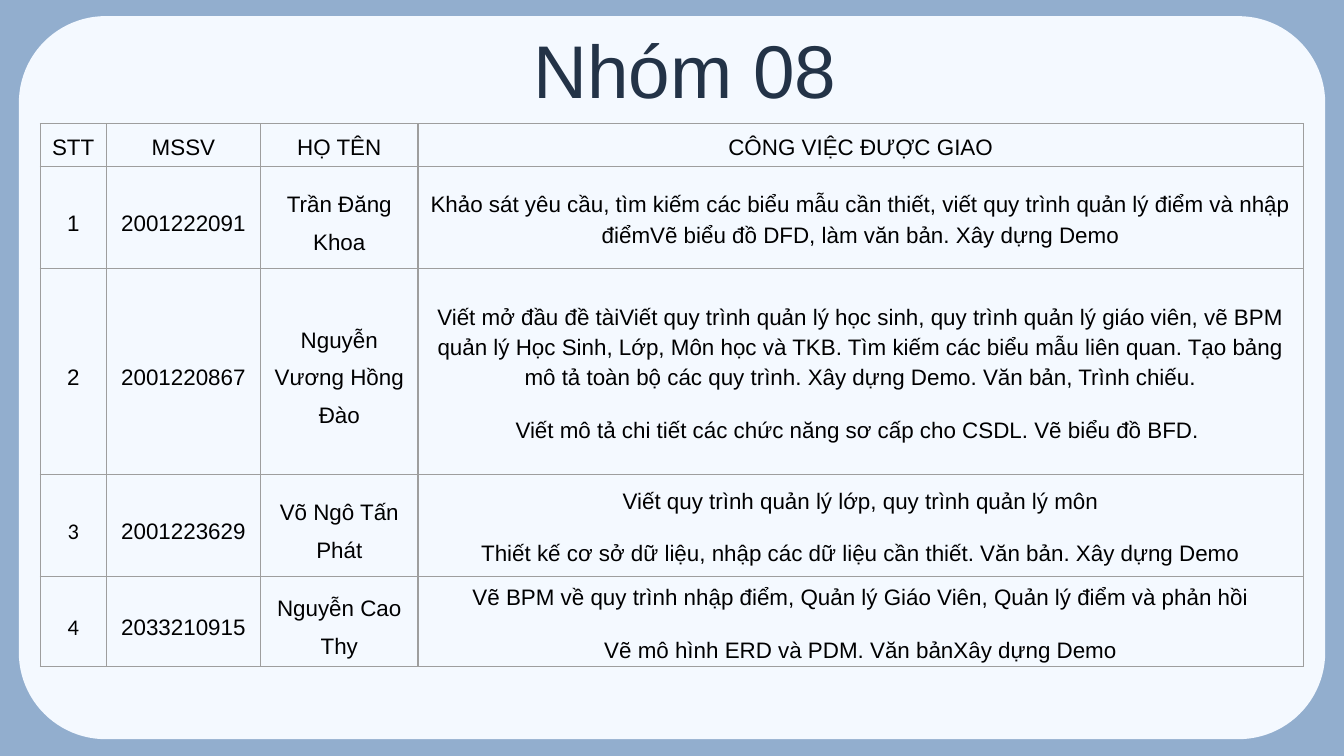
import pptx
import pptx.util
import pptx.dml.color
import pptx.enum.shapes
import pptx.enum.text
import pptx.oxml.ns
import lxml.etree

Inches = pptx.util.Inches
Pt = pptx.util.Pt
RGBColor = pptx.dml.color.RGBColor
CENTER = pptx.enum.text.PP_ALIGN.CENTER
MIDDLE = pptx.enum.text.MSO_ANCHOR.MIDDLE

BLUE = RGBColor(0x92, 0xAE, 0xCE)
PALE = RGBColor(0xF4, 0xF9, 0xFF)
NAVY = RGBColor(0x23, 0x33, 0x47)
BLACK = RGBColor(0, 0, 0)
GREY = RGBColor(0x9E, 0x9E, 0x9E)

COLUMN_WIDTHS = [0.49, 1.15, 1.17, 6.59]
ROW_HEIGHTS = [0.32, 0.76, 1.53, 0.76, 0.67]

# A line break separates the paragraphs of a cell
ROWS = [
    ["STT", "MSSV", "HỌ TÊN", "CÔNG VIỆC ĐƯỢC GIAO"],
    ["1", "2001222091", "Trần Đăng Khoa",
     "Khảo sát yêu cầu, tìm kiếm các biểu mẫu cần thiết, viết quy trình quản lý "
     "điểm và nhập điểmVẽ biểu đồ DFD, làm văn bản. Xây dựng Demo"],
    ["2", "2001220867", "Nguyễn Vương Hồng Đào",
     "Viết mở đầu đề tàiViết quy trình quản lý học sinh, quy trình quản lý giáo viên, "
     "vẽ BPM quản lý Học Sinh, Lớp, Môn học và TKB. Tìm kiếm các biểu mẫu liên quan. "
     "Tạo bảng mô tả toàn bộ các quy trình. Xây dựng Demo. Văn bản, Trình chiếu.\n"
     "Viết mô tả chi tiết các chức năng sơ cấp cho CSDL. Vẽ biểu đồ BFD. "],
    ["3", "2001223629", "Võ Ngô Tấn Phát",
     "Viết quy trình quản lý lớp, quy trình quản lý môn\n"
     "Thiết kế cơ sở dữ liệu, nhập các dữ liệu cần thiết. Văn bản. Xây dựng Demo"],
    ["4", "2033210915", "Nguyễn Cao Thy",
     "Vẽ BPM về quy trình nhập điểm, Quản lý Giáo Viên, Quản lý điểm và phản hồi\n"
     "Vẽ mô hình ERD và PDM. Văn bảnXây dựng Demo"],
]


def add_borders(cell):
    properties = cell._tc.get_or_add_tcPr()
    for side in ("a:lnL", "a:lnR", "a:lnT", "a:lnB"):
        line = lxml.etree.SubElement(properties, pptx.oxml.ns.qn(side), w=str(Pt(0.75)))
        fill = lxml.etree.SubElement(line, pptx.oxml.ns.qn("a:solidFill"))
        lxml.etree.SubElement(fill, pptx.oxml.ns.qn("a:srgbClr"), val=str(GREY))


def style_paragraph(paragraph, size, color, font_name="Arial"):
    paragraph.alignment = CENTER
    paragraph.font.size = Pt(size)
    paragraph.font.name = font_name
    paragraph.font.color.rgb = color


# Widescreen page, 16 to 9
deck = pptx.Presentation()
deck.slide_width = Inches(10)
deck.slide_height = Inches(10 * 9 / 16)
page = deck.slides.add_slide(deck.slide_layouts[6])

# Background and rounded panel
page.background.fill.solid()
page.background.fill.fore_color.rgb = BLUE
panel = page.shapes.add_shape(
    pptx.enum.shapes.MSO_SHAPE.ROUNDED_RECTANGLE,
    Inches(0.14), Inches(0.12), Inches(9.72), Inches(5.38))
panel.adjustments[0] = 0.12
panel.shadow.inherit = False
panel.fill.solid()
panel.fill.fore_color.rgb = PALE
panel.line.fill.background()

# Title
title = page.shapes.add_textbox(Inches(3.07), 0, Inches(4.05), Inches(1.02))
frame = title.text_frame
frame.word_wrap = True
frame.vertical_anchor = MIDDLE
frame.margin_left = frame.margin_right = Inches(0.1)
frame.margin_top = frame.margin_bottom = Inches(0.1)
frame.text = "Nhóm 08"
style_paragraph(frame.paragraphs[0], 40, NAVY)

# Task table
table = page.shapes.add_table(
    len(ROWS), len(COLUMN_WIDTHS), Inches(0.3), Inches(0.92),
    Inches(sum(COLUMN_WIDTHS)), Inches(sum(ROW_HEIGHTS))).table
table.first_row = False
table.horz_banding = False
for column, width in zip(table.columns, COLUMN_WIDTHS):
    column.width = Inches(width)
for row, height in zip(table.rows, ROW_HEIGHTS):
    row.height = Inches(height)

for row_index, texts in enumerate(ROWS):
    for column_index, text in enumerate(texts):
        cell = table.cell(row_index, column_index)
        cell.text = text
        cell.vertical_anchor = MIDDLE
        cell.margin_left = cell.margin_right = Inches(0.05)
        cell.margin_top = cell.margin_bottom = 0
        add_borders(cell)
        cell.fill.background()
        is_task = column_index == 3
        font_name = "Calibri" if text in ("3", "4") else "Arial"
        for number, paragraph in enumerate(cell.text_frame.paragraphs):
            style_paragraph(paragraph, 12, BLACK, font_name)
            paragraph.line_spacing = 1.2 if row_index == 0 or is_task else 1.5
            paragraph.space_before = Pt(6 if number else 0)
            paragraph.space_after = Pt(6)

deck.save("out.pptx")
